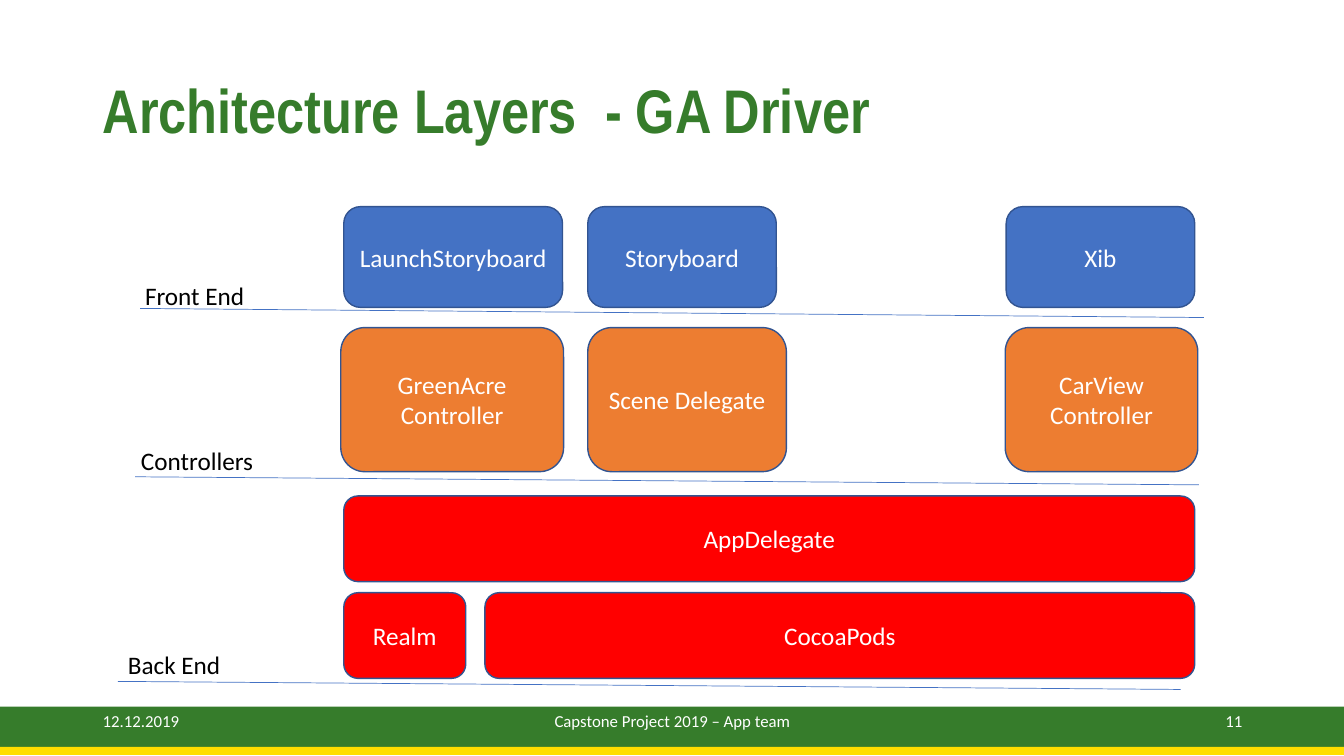
"""Build the architecture layers slide."""
from dataclasses import dataclass

import pptx
import pptx.dml.color
import pptx.enum.shapes
import pptx.enum.text
import pptx.oxml
import pptx.oxml.ns
import pptx.util

PX = 9144
ALIGN = pptx.enum.text.PP_ALIGN
ANCHOR = pptx.enum.text.MSO_ANCHOR
SHAPE = pptx.enum.shapes.MSO_SHAPE


@dataclass(frozen=True)
class Theme:
    green: str = "367C2B"
    yellow: str = "FFDE00"
    blue: str = "4472C4"
    orange: str = "ED7D31"
    red: str = "FF0000"
    outline: str = "325491"
    white: str = "FFFFFF"
    black: str = "000000"
    heading_font: str = "Arial Narrow"
    body_font: str = "Calibri"
    heading_size: int = 44
    body_size: int = 18
    footer_size: int = 12


THEME = Theme()


@dataclass(frozen=True)
class Box:
    left: int
    top: int
    width: int
    height: int


@dataclass(frozen=True)
class Component:
    name: str
    left: int
    width: int


@dataclass(frozen=True)
class Tier:
    color: str
    top: int
    height: int
    components: tuple[Component, ...]


@dataclass(frozen=True)
class Layer:
    name: str
    label_left: int
    label_top: int
    rule_left: int
    rule_top: int
    rule_width: int
    rule_drop: int
    tiers: tuple[Tier, ...]


@dataclass(frozen=True)
class FooterItem:
    text: str
    left: int
    width: int
    align: ALIGN


LAYERS = (
    Layer("Front End", 134, 273, 139, 306, 1055, 9, (
        Tier(THEME.blue, 205, 100, (
            Component("LaunchStoryboard", 341, 217),
            Component("Storyboard", 583, 187),
            Component("Xib", 998, 187))),)),
    Layer("Controllers", 130, 437, 134, 473, 1055, 8, (
        Tier(THEME.orange, 325, 143, (
            Component("GreenAcre Controller", 338, 221),
            Component("Scene Delegate", 583, 197),
            Component("CarView Controller", 997, 191))),)),
    Layer("Back End", 117, 639, 117, 676, 1054, 8, (
        Tier(THEME.red, 492, 85, (Component("AppDelegate", 341, 844),)),
        Tier(THEME.red, 588, 85, (
            Component("Realm", 341, 121),
            Component("CocoaPods", 481, 704))))),
)

FOOTER = (
    FooterItem("12.12.2019", 92, 300, ALIGN.LEFT),
    FooterItem("Capstone Project 2019 – App team", 442, 450, ALIGN.CENTER),
    FooterItem("11", 942, 300, ALIGN.RIGHT),
)


def rgb(color: str) -> pptx.dml.color.RGBColor:
    return pptx.dml.color.RGBColor.from_string(color)


def emu(box: Box) -> tuple[int, int, int, int]:
    return box.left * PX, box.top * PX, box.width * PX, box.height * PX


def write(shape, text: str, *, size: int = THEME.body_size,
          color: str = THEME.black, font: str = THEME.body_font,
          bold: bool = False, align: ALIGN = ALIGN.LEFT,
          anchor: ANCHOR = ANCHOR.MIDDLE, spacing: float = 1.0) -> None:
    frame = shape.text_frame
    frame.word_wrap = True
    frame.auto_size = pptx.enum.text.MSO_AUTO_SIZE.NONE
    frame.vertical_anchor = anchor
    paragraph = frame.paragraphs[0]
    paragraph.alignment = align
    paragraph.line_spacing = spacing
    run = paragraph.add_run()
    run.text = text
    run.font.size = pptx.util.Pt(size)
    run.font.name = font
    run.font.bold = bold
    run.font.color.rgb = rgb(color)


def add_block(slide, kind: SHAPE, box: Box, fill: str, outline: str | None = None):
    block = slide.shapes.add_shape(kind, *emu(box))
    block.shadow.inherit = False
    block.fill.solid()
    block.fill.fore_color.rgb = rgb(fill)
    if outline:
        block.line.color.rgb = rgb(outline)
        block.line.width = pptx.util.Pt(1)
    else:
        block.line.fill.background()
    return block


def add_rule(slide, layer: Layer) -> None:
    rule = slide.shapes.add_connector(
        pptx.enum.shapes.MSO_CONNECTOR.STRAIGHT,
        layer.rule_left * PX, layer.rule_top * PX,
        (layer.rule_left + layer.rule_width) * PX,
        (layer.rule_top + layer.rule_drop) * PX)
    rule.line.color.rgb = rgb(THEME.blue)
    rule.line.width = pptx.util.Pt(0.5)
    properties = rule._element.spPr
    properties.append(pptx.oxml.parse_xml(
        f"<a:effectLst {pptx.oxml.ns.nsdecls('a')}/>"))


def add_layer(slide, layer: Layer) -> None:
    add_rule(slide, layer)
    label = slide.shapes.add_textbox(
        *emu(Box(layer.label_left, layer.label_top, 300, 40)))
    write(label, layer.name, anchor=ANCHOR.TOP)
    for tier in layer.tiers:
        for component in tier.components:
            box = Box(component.left, tier.top, component.width, tier.height)
            block = add_block(slide, SHAPE.ROUNDED_RECTANGLE, box,
                              tier.color, THEME.outline)
            write(block, component.name, color=THEME.white, align=ALIGN.CENTER)


def add_title(slide, text: str) -> None:
    title = slide.shapes.title
    title.left, title.top, title.width, title.height = emu(Box(92, 40, 1150, 145))
    write(title, text, size=THEME.heading_size, color=THEME.green,
          font=THEME.heading_font, bold=True, spacing=0.9)


def add_footer(slide) -> None:
    add_block(slide, SHAPE.RECTANGLE, Box(0, 701, 1333, 40), THEME.green)
    add_block(slide, SHAPE.RECTANGLE, Box(0, 741, 1333, 8), THEME.yellow)
    for item in FOOTER:
        note = slide.shapes.add_textbox(*emu(Box(item.left, 695, item.width, 40)))
        write(note, item.text, size=THEME.footer_size, color=THEME.white,
              align=item.align)


def main() -> None:
    deck = pptx.Presentation()
    deck.slide_width, deck.slide_height = 1333 * PX, 750 * PX
    slide = deck.slides.add_slide(deck.slide_layouts[5])
    add_footer(slide)
    add_title(slide, "Architecture Layers  - GA Driver")
    for layer in LAYERS:
        add_layer(slide, layer)
    deck.save("out.pptx")


if __name__ == "__main__":
    main()
